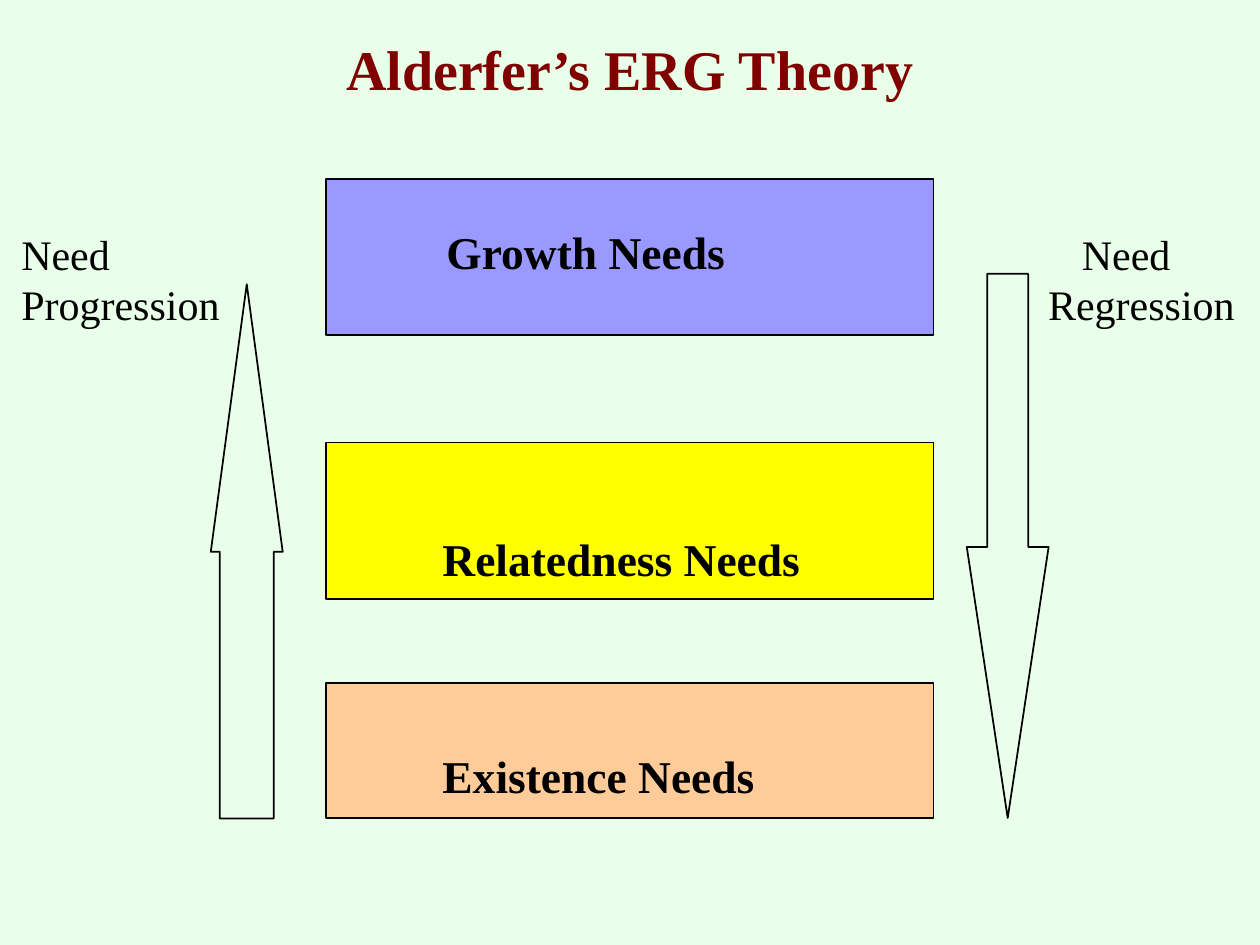
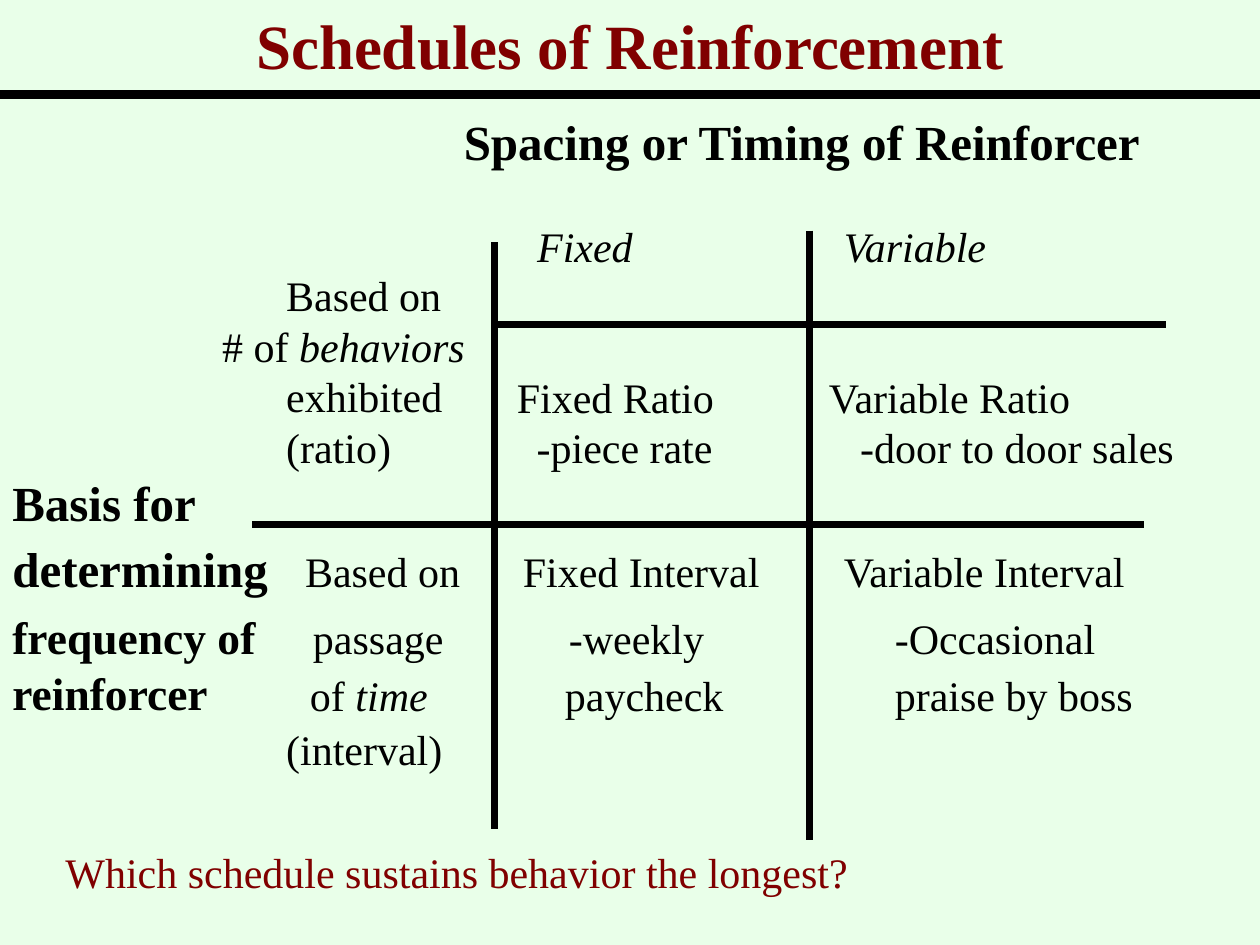
from dataclasses import dataclass

from lxml import etree
from pptx import Presentation
from pptx.dml.color import RGBColor
from pptx.enum import shapes, text
from pptx.oxml.ns import qn
from pptx.util import Cm, Pt

FONT = "Times New Roman"
BLACK, MAROON, MINT = "000000", "800000", "E9FFE9"
BODY_SIZE = 24
PAGE_WIDTH = 25.4


@dataclass(frozen=True)
class Line:
    """One paragraph: indent in cm, space before in points."""
    words: str
    emphasis: str = ""
    indent: float = 0
    before: float = 0


@dataclass(frozen=True)
class Block:
    """Lines of text at a place given in cm."""
    left: float
    top: float
    width: float
    lines: tuple[Line, ...]
    size: int = BODY_SIZE
    bold: bool = False
    italic: bool = False
    color: str = BLACK


@dataclass(frozen=True)
class Need:
    name: str
    top: float
    height: float
    fill: str
    text_left: float
    text_top: float


@dataclass(frozen=True)
class Arrow:
    kind: shapes.MSO_SHAPE
    left: float
    top: float
    width: float
    height: float
    shaft: float
    head: float


@dataclass(frozen=True)
class Rule:
    x1: float
    y1: float
    x2: float
    y2: float
    weight: float = 4


NEEDS = (
    Need("Growth Needs", 3.61, 3.15, "9999FF", 2.42, 0.91),
    Need("Relatedness Needs", 8.92, 3.15, "FFFF00", 2.34, 1.78),
    Need("Existence Needs", 13.77, 2.72, "FFCC99", 2.34, 1.32),
)
DIRECTIONS = (
    Block(0.43, 4.6, 4.4, (Line("Need"), Line("Progression"))),
    Block(21.13, 4.6, 4.2, (Line("Need", indent=0.68), Line("Regression"))),
)
ARROWS = (
    Arrow(shapes.MSO_SHAPE.UP_ARROW, 4.25, 5.73, 1.45, 10.77, 0.75, 3.72),
    Arrow(shapes.MSO_SHAPE.DOWN_ARROW, 19.49, 5.52, 1.65, 10.97, 0.5, 3.31),
)

RULES = (
    Rule(0, 1.9, PAGE_WIDTH, 1.9, weight=5),
    Rule(9.96, 4.88, 9.96, 16.71),
    Rule(16.31, 4.65, 16.31, 16.94),
    Rule(9.96, 6.55, 23.5, 6.55),
    Rule(5.08, 10.58, 23.06, 10.58),
)
RATIO_TOP, INTERVAL_TOP = 7.48, 10.99
INTERVAL_GAPS = (0, 9.6, 3.6, 2.4)


def interval_lines(*rows: tuple[str, str, float]) -> tuple[Line, ...]:
    """Lines of the interval row, which share their vertical rhythm."""
    return tuple(Line(words, emphasis, indent, gap)
                 for (words, emphasis, indent), gap in zip(rows, INTERVAL_GAPS))


SCHEDULES = (
    Block(9.35, 2.24, 15, (Line("Spacing or Timing of Reinforcer"),), 28, bold=True),
    Block(10.83, 4.44, 4, (Line("Fixed"),), italic=True),
    Block(17.01, 4.44, 5, (Line("Variable"),), italic=True),
    Block(4.48, 5.44, 5.4, (
        Line("Based on", indent=1.29),
        Line("# of ", "behaviors"),
        Line("exhibited", indent=1.29),
        Line("(ratio)", indent=1.29),
    )),
    Block(10.42, RATIO_TOP, 5.5, (
        Line("Fixed Ratio"), Line("-piece rate", indent=0.4))),
    Block(16.71, RATIO_TOP, 8, (
        Line("Variable Ratio"), Line("-door to door sales", indent=0.63))),
    Block(5.77, INTERVAL_TOP, 4, interval_lines(
        ("Based on", "", 0.38), ("passage", "", 0.54),
        ("of ", "time", 0.48), ("(interval)", "", 0))),
    Block(10.54, INTERVAL_TOP, 5.6, interval_lines(
        ("Fixed Interval", "", 0), ("-weekly", "", 0.93), ("paycheck", "", 0.85))),
    Block(17.01, INTERVAL_TOP, 7, interval_lines(
        ("Variable Interval", "", 0), ("-Occasional", "", 1.03),
        ("praise by boss", "", 1.03))),
    Block(1.32, 17.07, 19, (
        Line("Which schedule sustains behavior the longest?"),), color=MAROON),
)
# The row heading mixes two sizes, so it takes two blocks.
BASIS = (
    Block(0.25, 9.52, 5.6, (
        Line("Basis for"), Line("determining", before=4)), 28, bold=True),
    Block(0.25, 12.27, 5.6, (
        Line("frequency of"), Line("reinforcer", before=1.2)), 26, bold=True),
)


def rgb(value: str) -> RGBColor:
    return RGBColor.from_string(value)


def style(font, size: int, color: str, bold: bool, italic: bool = False) -> None:
    font.name = FONT
    font.size = Pt(size)
    font.color.rgb = rgb(color)
    font.bold = bold
    font.italic = italic


def place(shape, left: float, top: float, width: float, height: float) -> None:
    shape.left, shape.top = Cm(left), Cm(top)
    shape.width, shape.height = Cm(width), Cm(height)


def set_insets(frame, left: float = 0, top: float = 0) -> None:
    """Anchor wrapped text at the top with the given insets in cm."""
    frame.margin_left, frame.margin_top = Cm(left), Cm(top)
    frame.margin_right = frame.margin_bottom = 0
    frame.vertical_anchor = text.MSO_ANCHOR.TOP
    frame.auto_size = text.MSO_AUTO_SIZE.NONE
    frame.word_wrap = True


def add_titled_slide(deck, title: str, top: float, height: float, size: int):
    slide = deck.slides.add_slide(deck.slide_layouts[5])
    heading = slide.shapes.title
    place(heading, 0, top, PAGE_WIDTH, height)
    frame = heading.text_frame
    frame.text = title
    set_insets(frame, top=0.13)
    paragraph = frame.paragraphs[0]
    paragraph.alignment = text.PP_ALIGN.CENTER
    style(paragraph.runs[0].font, size, MAROON, bold=True)
    return slide


def add_block(slide, block: Block) -> None:
    height = sum(block.size * 1.2 + line.before for line in block.lines) / 72 * 2.54
    box = slide.shapes.add_textbox(Cm(block.left), Cm(block.top),
                                   Cm(block.width), Cm(height))
    frame = box.text_frame
    set_insets(frame)
    for index, line in enumerate(block.lines):
        paragraph = frame.add_paragraph() if index else frame.paragraphs[0]
        paragraph.text = line.words
        if line.before:
            paragraph.space_before = Pt(line.before)
        if line.indent:
            paragraph._p.get_or_add_pPr().set("marL", str(Cm(line.indent)))
        if line.emphasis:
            paragraph.add_run().text = line.emphasis
        for position, run in enumerate(paragraph.runs):
            style(run.font, block.size, block.color, block.bold,
                  block.italic or position > 0)


def outline(shape) -> None:
    shape.shadow.inherit = False
    shape.line.color.rgb = rgb(BLACK)
    shape.line.width = Pt(1)


def add_need(slide, need: Need) -> None:
    box = slide.shapes.add_shape(shapes.MSO_SHAPE.RECTANGLE, Cm(6.58), Cm(need.top),
                                 Cm(12.24), Cm(need.height))
    outline(box)
    box.fill.solid()
    box.fill.fore_color.rgb = rgb(need.fill)
    box.text_frame.text = need.name
    set_insets(box.text_frame, need.text_left, need.text_top)
    paragraph = box.text_frame.paragraphs[0]
    paragraph.alignment = text.PP_ALIGN.LEFT
    style(paragraph.runs[0].font, 26, BLACK, bold=True)


def add_arrow(slide, arrow: Arrow) -> None:
    shape = slide.shapes.add_shape(arrow.kind, Cm(arrow.left), Cm(arrow.top),
                                   Cm(arrow.width), Cm(arrow.height))
    outline(shape)
    shape.fill.background()
    shape.adjustments[0] = arrow.shaft
    shape.adjustments[1] = arrow.head


def add_rule(slide, rule: Rule) -> None:
    connector = slide.shapes.add_connector(
        shapes.MSO_CONNECTOR.STRAIGHT,
        Cm(rule.x1), Cm(rule.y1), Cm(rule.x2), Cm(rule.y2))
    connector.line.color.rgb = rgb(BLACK)
    connector.line.width = Pt(rule.weight)
    etree.SubElement(connector._element.spPr, qn("a:effectLst"))


def build_erg_theory(deck) -> None:
    slide = add_titled_slide(deck, "Alderfer’s ERG Theory", 0.56, 1.6, 32)
    for need in NEEDS:
        add_need(slide, need)
    for direction in DIRECTIONS:
        add_block(slide, direction)
    for arrow in ARROWS:
        add_arrow(slide, arrow)


def build_reinforcement(deck) -> None:
    slide = add_titled_slide(deck, "Schedules of Reinforcement", 0, 1.78, 36)
    for block in SCHEDULES + BASIS:
        add_block(slide, block)
    for rule in RULES:
        add_rule(slide, rule)


def main() -> None:
    deck = Presentation()
    deck.slide_width, deck.slide_height = Cm(PAGE_WIDTH), Cm(19.05)
    background = deck.slide_master.background.fill
    background.solid()
    background.fore_color.rgb = rgb(MINT)
    build_erg_theory(deck)
    build_reinforcement(deck)
    deck.save("out.pptx")


if __name__ == "__main__":
    main()
